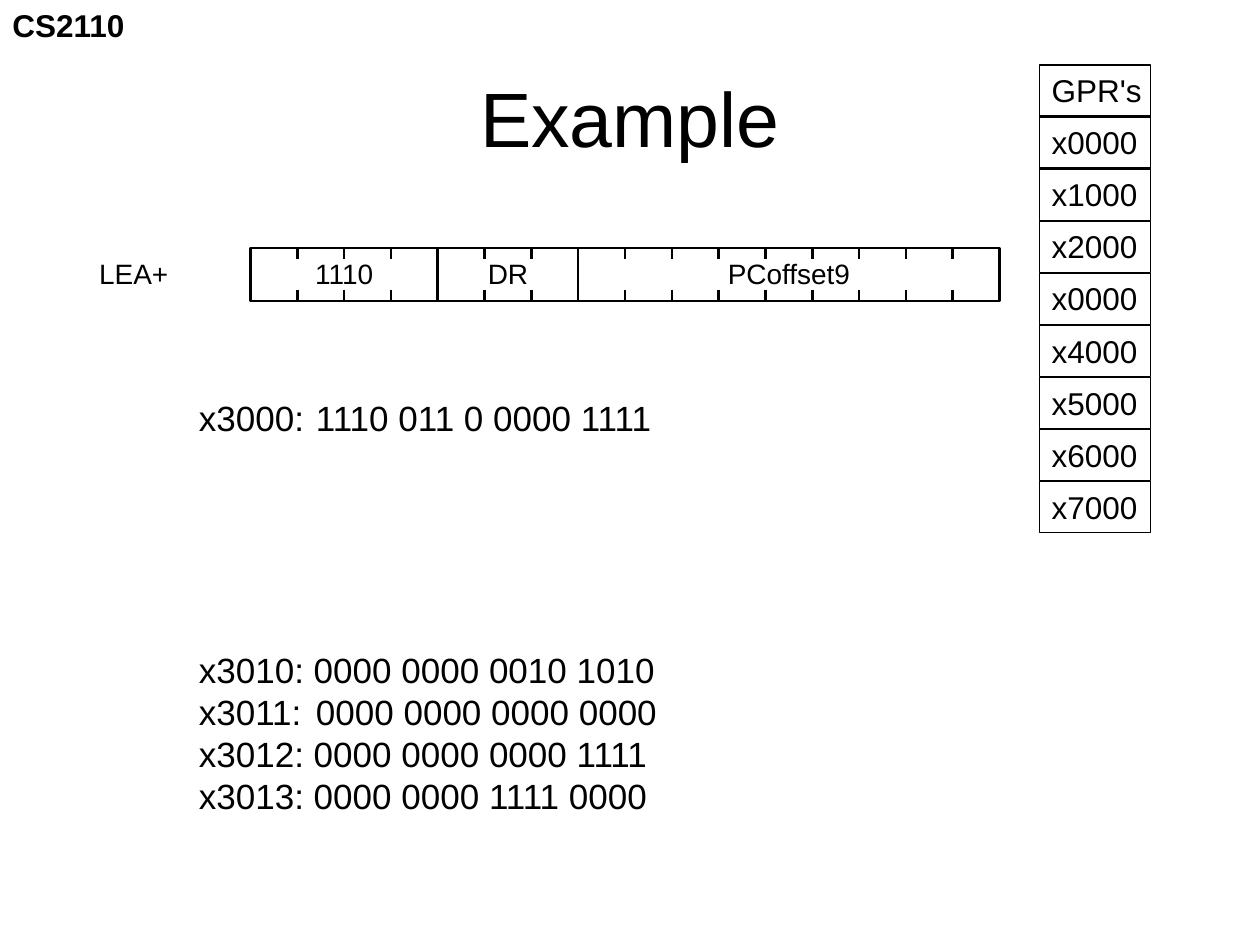
"""Build the LEA+ example slide with its bit fields, memory words and registers."""
from lxml import etree
from pptx import Presentation, util as u
from pptx.dml.color import RGBColor
from pptx.enum import shapes, text
from pptx.oxml.ns import qn

Cm, Pt = u.Cm, u.Pt
INK = {"black": "000000"}
black = RGBColor.from_string(INK["black"])


def write(shape, lines, size, align=text.PP_ALIGN.LEFT, bold=False):
    frame = shape.text_frame
    frame.text = "\n".join(lines)
    frame.word_wrap = False
    frame.vertical_anchor = text.MSO_ANCHOR.TOP
    for para in frame.paragraphs:
        para.alignment = align
        para.line_spacing = Pt(size * 1.2)
        para.font.name = "Arial"
        para.font.size = Pt(size)
        para.font.bold = bold
        para.font.color.rgb = black
    return frame


def frame_box(parent, left, top, width, height, weight):
    box = parent.add_shape(shapes.MSO_SHAPE.RECTANGLE, left, top, width, height)
    box.shadow.inherit = False
    box.fill.background()
    box.line.color.rgb = black
    box.line.width = Pt(weight)
    return box


deck = Presentation()
deck.slide_width, deck.slide_height = Cm(25.4), Cm(19.05)
slide = deck.slides.add_slide(deck.slide_layouts[5])
items = slide.shapes

title = items.title
title.left, title.top, title.width, title.height = Cm(1.27), Cm(0.76), Cm(22.86), Cm(3.18)
title.text_frame.text = "Example"
title.text_frame.vertical_anchor = text.MSO_ANCHOR.MIDDLE
head = title.text_frame.paragraphs[0]
head.alignment = text.PP_ALIGN.CENTER
head.font.name = "Arial"
head.font.size = Pt(44)
head.font.color.rgb = black

course = items.add_textbox(0, 0, Cm(2.79), Cm(1.02))
write(course, ["CS2110"], 18, bold=True)

values = ["GPR's", "x0000", "x1000", "x2000", "x0000", "x4000", "x5000", "x6000", "x7000"]
for row, value in enumerate(values):
    cell = frame_box(items, Cm(20.95), Cm(1.31 + 1.05 * row), Cm(2.24), Cm(1.03), 0.75)
    write(cell, [value], 18)

words = [
    "x3000:\t1110 011 0 0000 1111",
    "x3010: 0000 0000 0010 1010",
    "x3011:\t0000 0000 0000 0000",
    "x3012: 0000 0000 0000 1111",
    "x3013: 0000 0000 1111 0000",
]
memory = items.add_textbox(Cm(3.76), Cm(7.87), Cm(11.25), Cm(8.61))
lines = write(memory, words, 20).paragraphs
lines[1].space_before = Pt(120)
for line in lines:
    tabs = etree.SubElement(line._p.get_or_add_pPr(), qn("a:tabLst"))
    etree.SubElement(tabs, qn("a:tab"), pos=str(Cm(2.36)), algn="l")

code = items.add_group_shape().shapes
name = code.add_textbox(Cm(1.75), Cm(5.05), Cm(1.9), Cm(0.94))
write(name, ["LEA+"], 16)

top, tall, tick = Cm(5), Cm(1.07), Cm(0.23)
bit = Cm(15.1) // 16
left = Cm(5.05)
for label, bits in [("1110", 4), ("DR", 3), ("PCoffset9", 9)]:
    wide = bits * bit
    frame_box(code, left, top, wide, tall, 1.5)
    for step in range(1, bits):
        x = left + step * bit
        for y in (top, top + tall - tick):
            mark = code.add_connector(shapes.MSO_CONNECTOR.STRAIGHT, x, y, x, y + tick)
            mark.line.color.rgb = black
            mark.line.width = Pt(1.5)
            etree.SubElement(mark._element.spPr, qn("a:effectLst"))
    field = code.add_textbox(left, Cm(5.05), wide, Cm(0.94))
    write(field, [label], 16, text.PP_ALIGN.CENTER)
    left += wide

deck.save("out.pptx")
